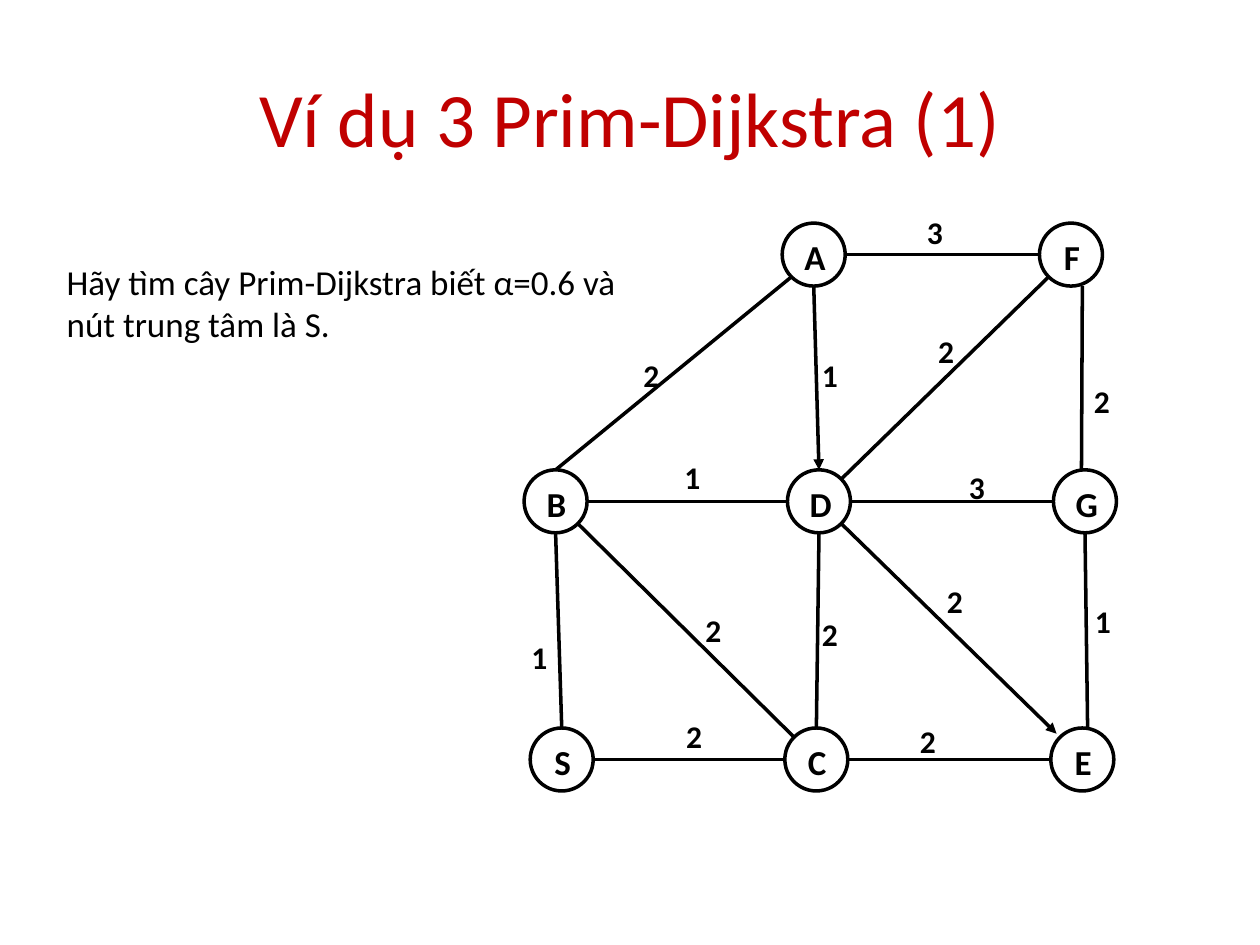
import math

import pptx
import pptx.dml.color
import pptx.enum.shapes
import pptx.enum.text
import pptx.oxml
import pptx.oxml.ns
import pptx.util
from pptx.util import Pt

BLACK = "000000"
RED = "C00000"
DIAMETER = 36
ANGLES = {"right": 0, "bottom right": 45, "bottom": 90, "bottom left": 135,
          "left": 180, "top left": 225, "top": 270, "top right": 315}


def color(value):
    """Turn a hex string into a colour."""
    return pptx.dml.color.RGBColor.from_string(value)


class GraphSlide:
    """Hold the style, the current slide and the graph nodes."""

    font = "Calibri"
    line_width = 2

    def __init__(self, slide):
        """Start with a slide and no nodes."""
        self.slide = slide
        self.centers = {}

    def text(self, words, left, top, width, height, size, bold=False, fill=BLACK,
             centered=False, wrap=False, middle=False):
        """Add a text box with one paragraph."""
        shape = self.slide.shapes.add_textbox(Pt(left), Pt(top), Pt(width), Pt(height))
        frame = shape.text_frame
        frame.text = words
        frame.word_wrap = wrap
        if middle:
            frame.vertical_anchor = pptx.enum.text.MSO_ANCHOR.MIDDLE
        paragraph = frame.paragraphs[0]
        alignments = pptx.enum.text.PP_ALIGN
        paragraph.alignment = alignments.CENTER if centered else alignments.LEFT
        font = paragraph.runs[0].font
        font.name, font.size, font.bold = self.font, Pt(size), bold
        font.color.rgb = color(fill)

    def outline(self, shape):
        """Apply the common line style."""
        shape.line.color.rgb = color(BLACK)
        shape.line.width = Pt(self.line_width)

    def node(self, name, x, y):
        """Add a circle centred on a point, with its letter."""
        self.centers[name] = (x, y)
        radius = DIAMETER / 2
        circle = self.slide.shapes.add_shape(
            pptx.enum.shapes.MSO_SHAPE.OVAL,
            Pt(x - radius), Pt(y - radius), Pt(DIAMETER), Pt(DIAMETER))
        circle.shadow.inherit = False
        circle.fill.background()
        self.outline(circle)
        self.text(name, x - 12.5, y - 14.5, 26, 32, 20, bold=True, centered=True)

    def port(self, name, side, shift=(0, 0)):
        """Find the point on one side of a node."""
        x, y = self.centers[name]
        angle = math.radians(ANGLES[side])
        return (Pt(x + DIAMETER / 2 * math.cos(angle) + shift[0]),
                Pt(y + DIAMETER / 2 * math.sin(angle) + shift[1]))

    def edge(self, start, end, arrow=False):
        """Join two node ports, with an arrowhead if asked."""
        connector = self.slide.shapes.add_connector(
            pptx.enum.shapes.MSO_CONNECTOR.STRAIGHT, *self.port(*start), *self.port(*end))
        self.outline(connector)
        if arrow:
            head = pptx.oxml.parse_xml(
                '<a:tailEnd %s type="triangle"/>' % pptx.oxml.ns.nsdecls("a"))
            connector.line._get_or_add_ln().append(head)
        connector._element.spPr.append(
            pptx.oxml.parse_xml("<a:effectLst %s/>" % pptx.oxml.ns.nsdecls("a")))

    def weight(self, value, left, top):
        """Add the weight of an edge."""
        self.text(value, left, top, 24, 29, 18, bold=True)


NODES = {
    "A": (465, 145.5), "F": (612, 145.5),
    "B": (317.5, 286.5), "D": (468, 286.5), "G": (620, 286.5),
    "S": (321, 434), "C": (466.5, 434), "E": (618.5, 434),
}

# Start port, end port, weight, left and top of the weight, arrow
EDGES = [
    (("A", "right"), ("F", "left"), "3", 522.5, 118, False),
    (("B", "top"), ("A", "bottom left"), "2", 360.5, 200, False),
    (("A", "bottom"), ("D", "top"), "1", 462.5, 200, True),
    (("D", "top right"), ("F", "bottom left"), "2", 529, 186, False),
    (("F", "bottom", (6.5, 0)), ("G", "top", (-2, 0)), "2", 618, 214.5, False),
    (("B", "right"), ("D", "left"), "1", 384, 258, False),
    (("D", "right"), ("G", "left"), "3", 546.5, 264, False),
    (("B", "bottom"), ("S", "top"), "1", 296.5, 361, False),
    (("B", "bottom right"), ("C", "top left"), "2", 396, 345.5, False),
    (("D", "bottom"), ("C", "top"), "2", 462.5, 348, False),
    (("D", "bottom right"), ("E", "top left", (-2, -2)), "2", 534, 329, True),
    (("G", "bottom"), ("E", "top", (3, 0)), "1", 618.5, 340.5, False),
    (("S", "right"), ("C", "left"), "2", 385, 406, False),
    (("C", "right"), ("E", "left"), "2", 518.5, 409, False),
]

presentation = pptx.Presentation()
presentation.slide_width, presentation.slide_height = Pt(720), Pt(540)
graph = GraphSlide(presentation.slides.add_slide(presentation.slide_layouts[6]))

for name, (x, y) in NODES.items():
    graph.node(name, x, y)
for start, end, value, left, top, arrow in EDGES:
    graph.edge(start, end, arrow)
    graph.weight(value, left, top)

graph.text("Ví dụ 3 Prim-Dijkstra (1)", 36, 21.6, 648, 90, 44, fill=RED,
           centered=True, wrap=True, middle=True)
graph.text("Hãy tìm cây Prim-Dijkstra biết α=0.6 và nút trung tâm là S.",
           31, 145.5, 360, 55.5, 20, wrap=True)

presentation.save("out.pptx")
